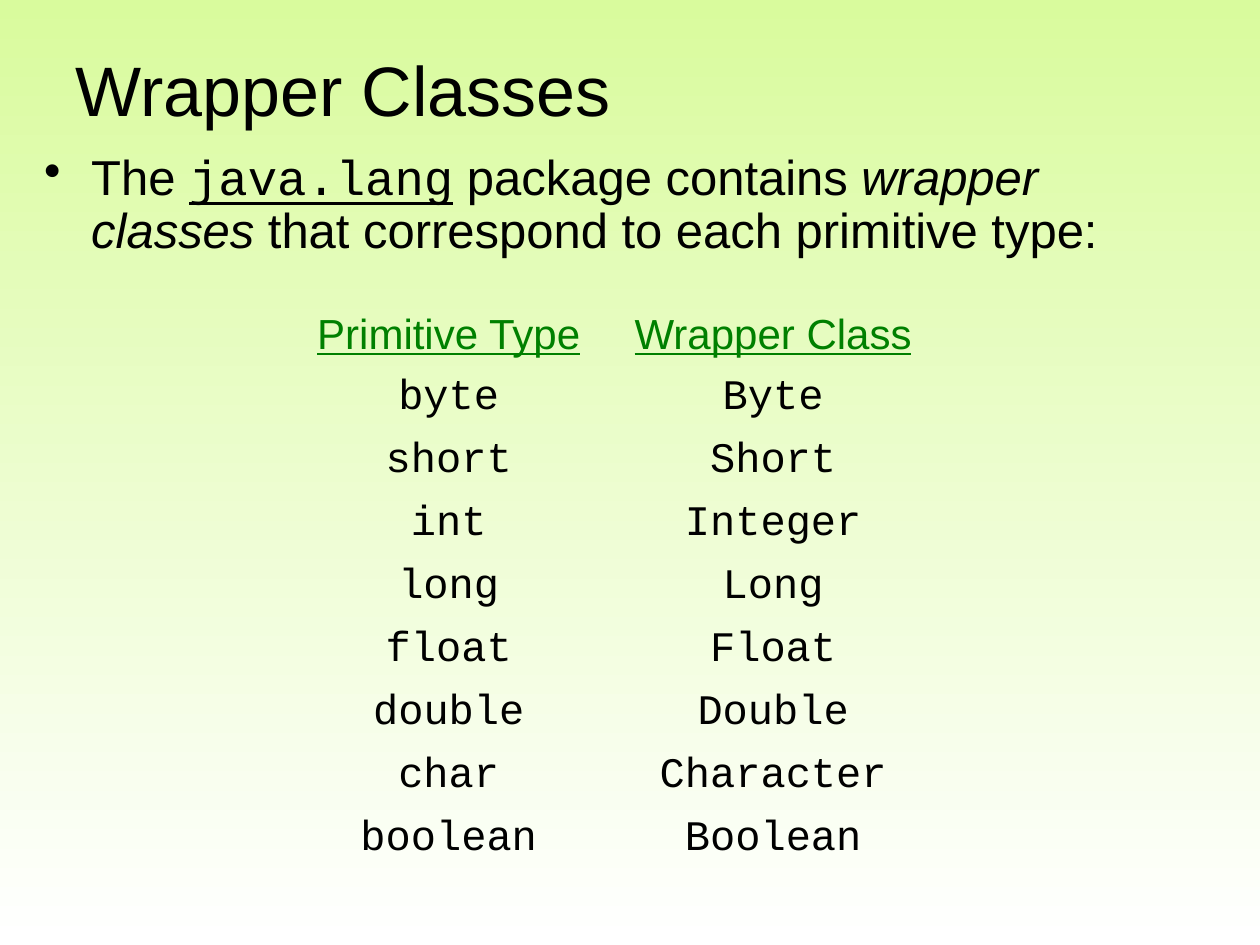
import dataclasses

import lxml.etree
import pptx
import pptx.dml.color
import pptx.enum.text
import pptx.oxml.ns
import pptx.util

Cm = pptx.util.Cm
Pt = pptx.util.Pt

SANS = "Arial"
MONO = "Courier New"
BLACK = "000000"
GREEN = "008000"
PLAIN_TABLE_STYLE = "{2D5ABB26-0587-4C30-8999-92F81FD0307C}"


@dataclasses.dataclass(frozen=True)
class Phrase:
    text: str
    face: str = SANS
    underline: bool = False
    italic: bool = False


@dataclasses.dataclass(frozen=True)
class TypePair:
    primitive: str
    wrapper: str
    height: float
    face: str = MONO
    color: str = BLACK
    underline: bool = False


SENTENCE = (
    Phrase("The "),
    Phrase("java.lang", face=MONO, underline=True),
    Phrase(" package contains "),
    Phrase("wrapper classes", italic=True),
    Phrase(" that correspond to each primitive type:"),
)

TYPE_PAIRS = (
    TypePair("Primitive Type", "Wrapper Class", 0.85, SANS, GREEN, True),
    TypePair("byte", "Byte", 1.27),
    TypePair("short", "Short", 0.85),
    TypePair("int", "Integer", 0.85),
    TypePair("long", "Long", 0.85),
    TypePair("float", "Float", 0.85),
    TypePair("double", "Double", 0.85),
    TypePair("char", "Character", 0.85),
    TypePair("boolean", "Boolean", 0.85),
)


def rgb(value: str) -> pptx.dml.color.RGBColor:
    return pptx.dml.color.RGBColor.from_string(value)


def set_font(font, size: float, face: str, color: str) -> None:
    font.size = Pt(size)
    font.name = face
    font.color.rgb = rgb(color)


def paint_background(slide, top: str, bottom: str) -> None:
    fill = slide.background.fill
    fill.gradient()
    fill.gradient_angle = 270
    for stop, color in zip(fill.gradient_stops, (top, bottom)):
        stop.color.rgb = rgb(color)


def add_frame(slide, left: float, top: float, width: float, height: float):
    frame = slide.shapes.add_textbox(Cm(left), Cm(top), Cm(width), Cm(height)).text_frame
    frame.word_wrap = True
    return frame


def add_title(slide, text: str) -> None:
    frame = add_frame(slide, 1.27, 0.2, 23.06, 3.18)
    frame.vertical_anchor = pptx.enum.text.MSO_ANCHOR.MIDDLE
    title = frame.paragraphs[0]
    title.text = text
    set_font(title.font, 40, SANS, BLACK)


def add_sentence(slide, phrases: tuple[Phrase, ...]) -> None:
    sentence = add_frame(slide, 0.64, 2.97, 23.93, 2.95).paragraphs[0]
    sentence.line_spacing = 0.9
    sentence.space_before = Pt(5.6)
    properties = sentence._p.get_or_add_pPr()
    properties.set("marL", str(Cm(0.95)))
    properties.set("indent", str(Cm(-0.95)))
    lxml.etree.SubElement(properties, pptx.oxml.ns.qn("a:buChar"), char="•")
    for phrase in phrases:
        run = sentence.add_run()
        run.text = phrase.text
        set_font(run.font, 28, phrase.face, BLACK)
        run.font.underline = phrase.underline
        run.font.italic = phrase.italic


def add_type_table(slide, pairs: tuple[TypePair, ...]) -> None:
    frame = slide.shapes.add_table(len(pairs), 2, Cm(5.72), Cm(6.15), Cm(13.08), Cm(11.43))
    table = frame.table
    table.first_row = False
    table.horz_banding = False
    table._tbl.tblPr.find(pptx.oxml.ns.qn("a:tableStyleId")).text = PLAIN_TABLE_STYLE
    for column, width in zip(table.columns, (6.65, 6.43)):
        column.width = Cm(width)
    for row, pair in zip(table.rows, pairs):
        row.height = Cm(pair.height)
        for cell, name in zip(row.cells, (pair.primitive, pair.wrapper)):
            cell.fill.background()
            label = cell.text_frame.paragraphs[0]
            label.text = name
            label.alignment = pptx.enum.text.PP_ALIGN.CENTER
            set_font(label.font, 24, pair.face, pair.color)
            label.font.underline = pair.underline
    frame.height = Cm(11.43)


def main() -> None:
    """Build the slide that pairs primitive types with their wrapper classes."""
    deck = pptx.Presentation()
    deck.slide_width = Cm(25.4)
    deck.slide_height = Cm(19.05)
    slide = deck.slides.add_slide(deck.slide_layouts[6])
    paint_background(slide, "D9FB9D", "FFFFFF")
    add_title(slide, "Wrapper Classes")
    add_sentence(slide, SENTENCE)
    add_type_table(slide, TYPE_PAIRS)
    deck.save("out.pptx")


if __name__ == "__main__":
    main()
